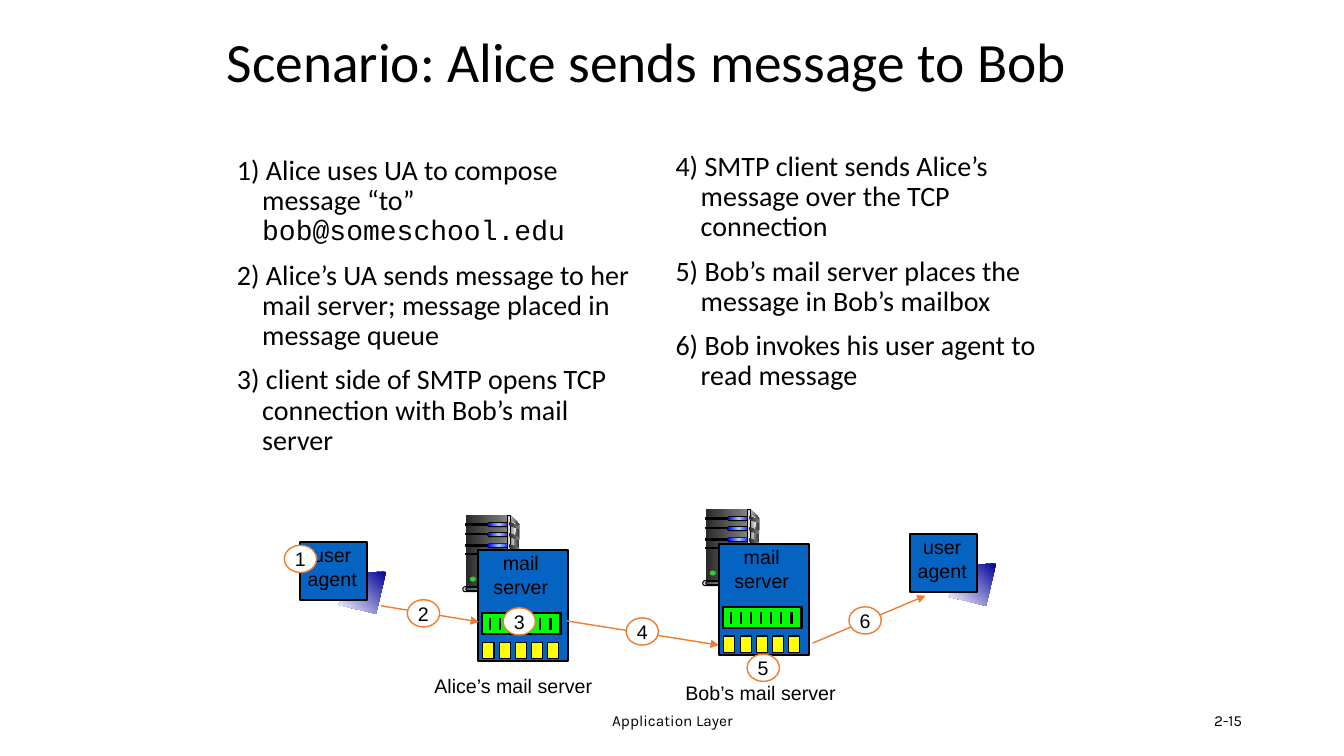
from lxml.etree import SubElement
from pptx import Presentation
from pptx.dml.color import RGBColor
from pptx.enum.shapes import MSO_CONNECTOR, MSO_SHAPE
from pptx.enum.text import MSO_ANCHOR, MSO_AUTO_SIZE, PP_ALIGN
from pptx.oxml.ns import qn
from pptx.util import Inches, Pt

BLACK, WHITE, ORANGE, BLUE = "000000", "FFFFFF", "ED7D31", "0563C1"
STEEL = ("292929", "808080")
GLOW = ("0000FF", "99CCFF", "0000FF")
RECT, PILL, OVAL = MSO_SHAPE.RECTANGLE, MSO_SHAPE.ROUNDED_RECTANGLE, MSO_SHAPE.OVAL
LABEL = {"size": Pt(14), "name": "Arial"}
FOOTER = {"size": Pt(11), "name": "Karla"}
HEADING = {"size": Pt(39.6), "name": "Calibri"}
STEP = {"size": Pt(20), "name": "Calibri"}
ADDRESS = {"size": Pt(20), "name": "Courier New"}
GROWING = {"word_wrap": False, "auto_size": MSO_AUTO_SIZE.SHAPE_TO_FIT_TEXT}
FIXED = {"word_wrap": True, "auto_size": MSO_AUTO_SIZE.NONE}


def rgb(value):
    return RGBColor.from_string(value)


def apply(target, values):
    for key, value in values.items():
        setattr(target, key, value)


class MailSlide:
    def __init__(self, slide):
        self.slide = slide
        self.canvas = slide.shapes

    def start_group(self):
        self.canvas = self.slide.shapes.add_group_shape().shapes

    def end_group(self):
        self.canvas = self.slide.shapes

    def paint(self, shape, fill, line=None, width=0.75, angle=0):
        shape.shadow.inherit = False
        if isinstance(fill, str):
            shape.fill.solid()
            shape.fill.fore_color.rgb = rgb(fill)
        else:
            shape.fill.gradient()
            shape.fill.gradient_angle = -angle % 360
            stops = shape._element.spPr.find(qn("a:gradFill")).find(qn("a:gsLst"))
            for stop in list(stops):
                stops.remove(stop)
            for place, color in enumerate(fill):
                position = str(100000 * place // (len(fill) - 1))
                stop = SubElement(stops, qn("a:gs"), pos=position)
                SubElement(stop, qn("a:srgbClr"), val=color)
        if line:
            shape.line.color.rgb = rgb(line)
            shape.line.width = Pt(width)
        else:
            shape.line.fill.background()

    def shape(self, kind, box, fill, line=None, width=0.75):
        shape = self.canvas.add_shape(kind, *map(Inches, box))
        if kind == PILL:
            shape.adjustments[0] = 0.5
        self.paint(shape, fill, line, width)
        return shape

    def outline(self, origin, points, fill, angle=0):
        left, top = origin
        corners = [(Inches(left + x), Inches(top + y)) for x, y in points]
        builder = self.canvas.build_freeform(*corners[0])
        builder.add_line_segments(corners[1:], close=True)
        self.paint(builder.convert_to_shape(), fill, angle=angle)

    def line(self, start, end, color, width, arrow=False):
        ends = map(Inches, (*start, *end))
        connector = self.canvas.add_connector(MSO_CONNECTOR.STRAIGHT, *ends)
        connector.line.color.rgb = rgb(color)
        connector.line.width = Pt(width)
        properties = connector._element.spPr
        if arrow:
            SubElement(properties.find(qn("a:ln")), qn("a:tailEnd"), type="triangle")
        SubElement(properties, qn("a:effectLst"))

    def run(self, paragraph, words, font):
        run = paragraph.add_run()
        run.text = words
        apply(run.font, font)
        run.font.color.rgb = rgb(BLACK)

    def text(self, box, words, font, frame, align=PP_ALIGN.CENTER):
        area = self.canvas.add_textbox(*map(Inches, box)).text_frame
        apply(area, frame)
        for index, line in enumerate(words.split("\n")):
            paragraph = area.add_paragraph() if index else area.paragraphs[0]
            paragraph.alignment = align
            self.run(paragraph, line, font)

    def place(self, placeholder, box, anchor):
        apply(placeholder, dict(zip(("left", "top", "width", "height"), map(Inches, box))))
        apply(placeholder.text_frame, {**FIXED, "vertical_anchor": anchor})
        return placeholder.text_frame

    def title(self, box, words):
        paragraph = self.place(self.slide.shapes.title, box, MSO_ANCHOR.MIDDLE).paragraphs[0]
        apply(paragraph, {"alignment": PP_ALIGN.LEFT, "line_spacing": 0.9})
        self.run(paragraph, words, HEADING)

    def steps(self, index, box, items):
        area = self.place(self.slide.placeholders[index], box, MSO_ANCHOR.TOP)
        for number, runs in enumerate(items):
            paragraph = area.add_paragraph() if number else area.paragraphs[0]
            apply(paragraph, {"line_spacing": 0.9, "space_before": Pt(10 if number else 0)})
            properties = paragraph._p.get_or_add_pPr()
            properties.set("marL", str(Inches(0.25)))
            properties.set("indent", str(Inches(-0.25)))
            SubElement(properties, qn("a:buNone"))
            for words, font in runs:
                self.run(paragraph, words, font)

    def user_agent(self, left, top):
        self.start_group()
        screen = [(0.85, 0.29), (0.45, 0.31), (0.38, 0.62), (0.75, 0.71)]
        self.outline((left, top), screen, ("000099", WHITE), 135)
        self.shape(RECT, (left, top, 0.66, 0.57), BLUE, BLACK, 1.5)
        self.text((left - 0.03, top - 0.04, 0.69, 0.57), "user\nagent", LABEL, GROWING)
        self.end_group()

    def tower(self, left, top):
        self.start_group()
        origin = (left, top)
        side = [(0.47, 0), (0.56, 0.09), (0.55, 0.69), (0.45, 0.72)]
        sheen = [(0.47, 0.04), (0.53, 0.1), (0.5, 0.29), (0.48, 0.5), (0.47, 0.7)]
        self.outline(origin, side, ("DDDDDD", "333333"))
        self.shape(RECT, (left + 0.03, top, 0.41, 0.72), STEEL)
        self.outline(origin, sheen, ("808080", "F8F8F8"))
        for y, height in ((0.08, 0.02), (0.18, 0.01), (0.29, 0.02), (0.38, 0.01)):
            self.shape(RECT, (left + 0.03, top + y, 0.23, height), BLACK, BLACK)
        for y in (0.07, 0.17, 0.28):
            self.shape(PILL, (left + 0.24, top + y, 0.23, 0.05), BLACK)
            self.shape(PILL, (left + 0.25, top + y + 0.01, 0.22, 0.03), GLOW)
        self.shape(RECT, (left + 0.44, top, 0.03, 0.72), ("333333", "DDDDDD", "333333"), BLACK)
        for y in (0.07, 0.18, 0.29):
            vent = [(0.46, y), (0.56, y + 0.04), (0.56, y + 0.07), (0.46, y + 0.03)]
            self.outline(origin, vent, STEEL)
        self.shape(PILL, (left, top + 0.71, 0.47, 0.05), "DDDDDD", BLACK)
        self.shape(PILL, (left + 0.03, top + 0.72, 0.42, 0.03), ("44546A", "E7E6E6"), BLACK)
        for x, light in ((0.07, "33CC33"), (0.14, "FF0000")):
            self.shape(OVAL, (left + x, top + 0.61, 0.06, 0.05), light)
        self.end_group()

    def mail_server(self, left, top):
        self.start_group()
        self.shape(RECT, (left, top, 0.89, 1.1), BLUE, BLACK, 1.5)
        self.text((left + 0.05, top - 0.04, 0.75, 0.57), "mail\nserver", LABEL, GROWING)
        self.shape(RECT, (left + 0.04, top + 0.62, 0.78, 0.21), "00FF00", BLACK, 1.5)
        for slot in range(7):
            x = left + 0.12 + 0.1 * slot
            self.line((x, top + 0.67), (x, top + 0.79), BLACK, 1.5)
        for mailbox in range(5):
            x = left + 0.05 + 0.16 * mailbox
            self.shape(RECT, (x, top + 0.91, 0.11, 0.16), "FFFF00", BLACK)
        self.end_group()

    def badge(self, number, left, top):
        oval = self.shape(OVAL, (left, top, 0.32, 0.27), WHITE, ORANGE, 1)
        area = oval.text_frame
        apply(area, {"word_wrap": False, "vertical_anchor": MSO_ANCHOR.MIDDLE})
        area.paragraphs[0].alignment = PP_ALIGN.CENTER
        self.run(area.paragraphs[0], str(number), LABEL)


def main():
    deck = Presentation()
    apply(deck, {"slide_width": Inches(13.33), "slide_height": Inches(7.5)})
    scenario = MailSlide(deck.slides.add_slide(deck.slide_layouts[3]))

    scenario.title((2.15, 0.02, 9.01, 1.25), "Scenario: Alice sends message to Bob")
    scenario.steps(1, (2.25, 1.5, 4.17, 3.52), [
        [("1) Alice uses UA to compose message “to” ", STEP), ("bob@someschool.edu", ADDRESS)],
        [("2) Alice’s UA sends message to her mail server; message placed in message queue", STEP)],
        [("3) client side of SMTP opens TCP connection with Bob’s mail server", STEP)],
    ])
    scenario.steps(2, (6.6, 1.46, 4.17, 3.57), [
        [("4) SMTP client sends Alice’s message over the TCP connection", STEP)],
        [("5) Bob’s mail server places the message in Bob’s mailbox", STEP)],
        [("6) Bob invokes his user agent to read message", STEP)],
    ])

    footer_frame = {**FIXED, "vertical_anchor": MSO_ANCHOR.MIDDLE}
    scenario.text((4.42, 6.95, 4.5, 0.4), "Application Layer", FOOTER, footer_frame)
    scenario.text((9.42, 6.95, 3, 0.4), "2-15", FOOTER, footer_frame, PP_ALIGN.RIGHT)

    for agent in ((2.98, 5.38), (9.03, 5.3)):
        scenario.user_agent(*agent)
    for tower, server in (((6.97, 5.05), (7.13, 5.4)), ((4.59, 5.11), (4.74, 5.46))):
        scenario.tower(*tower)
        scenario.mail_server(*server)

    hops = [((3.78, 6.01), (4.75, 6.17)), ((5.62, 6.16), (7.13, 6.4)), ((8.06, 6.38), (9.18, 5.91))]
    for start, end in hops:
        scenario.line(start, end, ORANGE, 1, arrow=True)
    badges = [(2.82, 5.41), (4.04, 5.95), (4.99, 6.03), (6.21, 6.13), (7.41, 6.49), (8.42, 6.02)]
    for number, corner in enumerate(badges, 1):
        scenario.badge(number, *corner)

    captions = [((4.21, 6.64, 1.84, 0.34), "Alice’s mail server"), ((6.7, 6.71, 1.77, 0.34), "Bob’s mail server")]
    for box, words in captions:
        scenario.text(box, words, LABEL, GROWING, PP_ALIGN.LEFT)
    deck.save("out.pptx")


if __name__ == "__main__":
    main()
